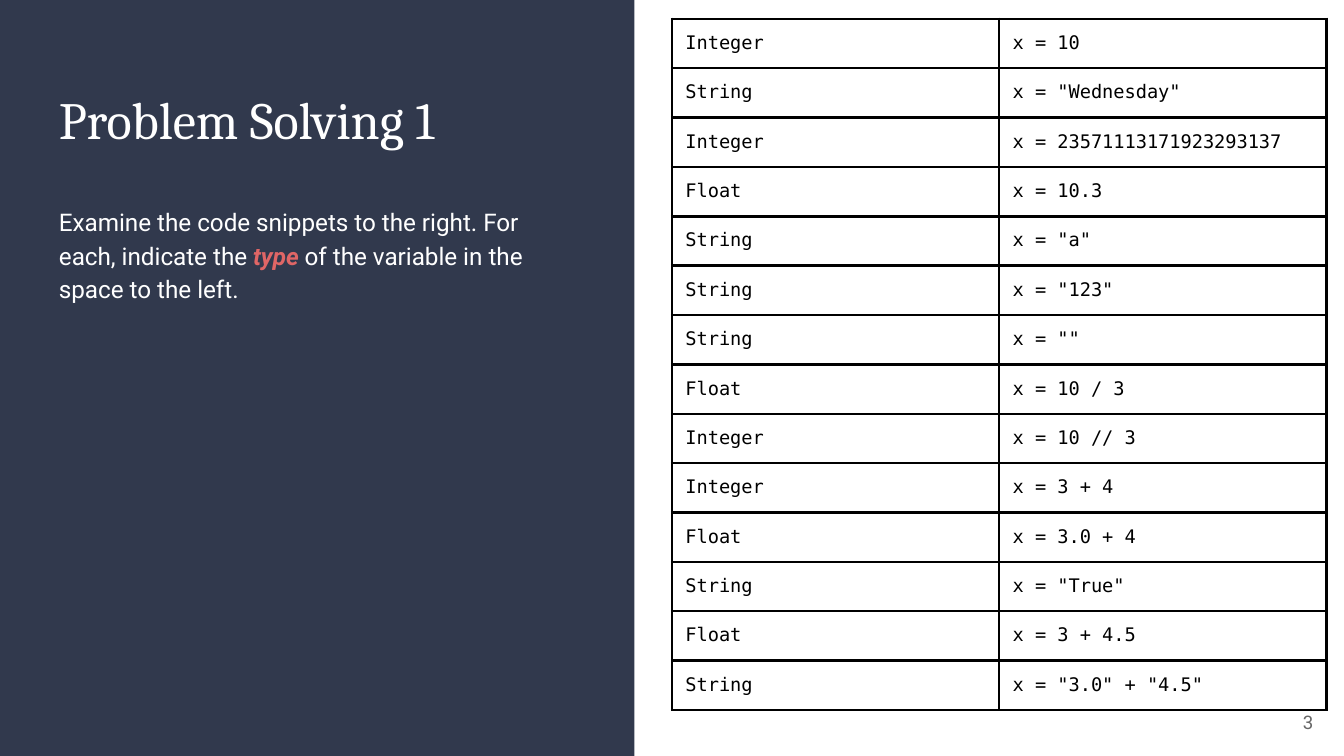
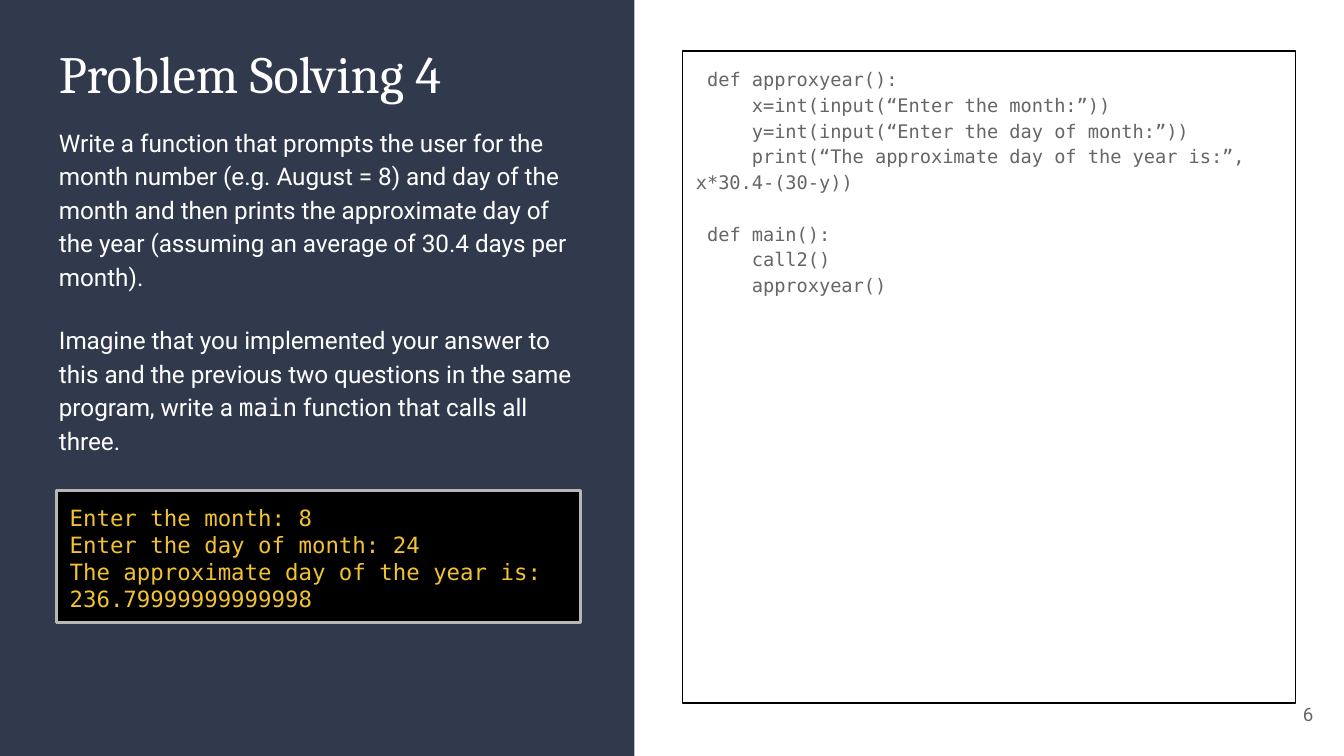
from dataclasses import dataclass

from lxml.etree import SubElement
from pptx import Presentation
from pptx.dml.color import RGBColor
from pptx.enum.shapes import MSO_SHAPE
from pptx.enum.text import MSO_ANCHOR, PP_ALIGN
from pptx.oxml.ns import qn
from pptx.slide import Slide
from pptx.util import Emu, Inches, Pt

GRID_COLUMNS = 100
GRID_ROWS = 56.25
UNIT = Inches(10) // GRID_COLUMNS
INSET = 1

NAVY = "31394D"
WHITE = "FFFFFF"
BLACK = "000000"
GREY = "666666"
SILVER = "B7B7B7"
CORAL = "E06666"
GOLD = "F1C232"

SERIF = "Cambria"
SANS = "Roboto"
MONO = "DejaVu Sans Mono"
CODE_SIZE = 10
CODE_CHARACTER = CODE_SIZE * 0.6
CODE_LINE = 13.8


@dataclass(frozen=True)
class Area:
    column: float
    row: float
    columns: float
    rows: float

    def lengths(self) -> tuple[Emu, Emu, Emu, Emu]:
        return tuple(grid(n) for n in (self.column, self.row, self.columns, self.rows))


@dataclass(frozen=True)
class Style:
    font: str
    size: float
    color: str
    bold: bool = False
    italic: bool = False


@dataclass(frozen=True)
class Span:
    text: str
    style: Style


@dataclass(frozen=True)
class Para:
    spans: tuple[Span, ...]
    line_spacing: float = 1.0
    before: float = 0
    after: float = 0
    indent: float = 0
    align: PP_ALIGN = PP_ALIGN.LEFT


@dataclass(frozen=True)
class Panel:
    fill: str | None = None
    line: str | None = None
    weight: float = 0


TITLE = Style(SERIF, 28, WHITE)
BODY = Style(SANS, 13, WHITE)
EMPHASIS = Style(SANS, 13, CORAL, True, True)
INLINE_CODE = Style(MONO, 13, WHITE)
CODE = Style(MONO, CODE_SIZE, GREY)
CELL = Style(MONO, CODE_SIZE, BLACK)
CONSOLE = Style(MONO, 12, GOLD)
PAGE_NUMBER = Style(SANS, 10, GREY)

BAND = Area(0, 0, 47.2, GRID_ROWS)
TEXT_COLUMN = 3.4
TEXT_COLUMNS = 40.5

TYPE_ROWS = (
    ("Integer", "x = 10"),
    ("String", 'x = "Wednesday"'),
    ("Integer", "x = 23571113171923293137"),
    ("Float", "x = 10.3"),
    ("String", 'x = "a"'),
    ("String", 'x = "123"'),
    ("String", 'x = ""'),
    ("Float", "x = 10 / 3"),
    ("Integer", "x = 10 // 3"),
    ("Integer", "x = 3 + 4"),
    ("Float", "x = 3.0 + 4"),
    ("String", 'x = "True"'),
    ("Float", "x = 3 + 4.5"),
    ("String", 'x = "3.0" + "4.5"'),
)

CODE_BLOCKS = (
    (
        (1, "def approxyear():"),
        (5, "x=int(input(“Enter the month:”))"),
        (5, "y=int(input(“Enter the day of month:”))"),
        (5, "print(“The approximate day of the year is:”, x*30.4-(30-y))"),
    ),
    (
        (1, "def main():"),
        (5, "call2()"),
        (5, "approxyear()"),
    ),
)

CONSOLE_LINES = (
    "Enter the month: 8",
    "Enter the day of month: 24",
    "The approximate day of the year is: 236.79999999999998",
)


def grid(units: float) -> Emu:
    return Emu(round(units * UNIT))


def rgb(color: str) -> RGBColor:
    return RGBColor.from_string(color)


def write(frame, paras: tuple[Para, ...]) -> None:
    for index, item in enumerate(paras):
        para = frame.paragraphs[0] if index == 0 else frame.add_paragraph()
        para.alignment = item.align
        para.line_spacing = item.line_spacing
        para.space_before = Pt(item.before)
        para.space_after = Pt(item.after)
        if item.indent:
            properties = para._p.get_or_add_pPr()
            properties.set("marL", "0")
            properties.set("indent", str(int(Pt(item.indent))))
        for part in item.spans:
            span = para.add_run()
            span.text = part.text
            font = span.font
            font.name = part.style.font
            font.size = Pt(part.style.size)
            font.bold = part.style.bold
            font.italic = part.style.italic
            font.color.rgb = rgb(part.style.color)


def set_margins(target) -> None:
    target.margin_left = target.margin_right = grid(INSET)
    target.margin_top = target.margin_bottom = grid(INSET)


def add_text(page: Slide, area: Area, paras: tuple[Para, ...],
             anchor: MSO_ANCHOR = MSO_ANCHOR.TOP) -> None:
    box = page.shapes.add_textbox(*area.lengths())
    fill_frame(box.text_frame, paras, anchor)


def fill_frame(frame, paras: tuple[Para, ...], anchor: MSO_ANCHOR) -> None:
    frame.word_wrap = True
    frame.vertical_anchor = anchor
    set_margins(frame)
    write(frame, paras)


def add_panel(page: Slide, area: Area, panel: Panel, paras: tuple[Para, ...] = ()) -> None:
    box = page.shapes.add_shape(MSO_SHAPE.RECTANGLE, *area.lengths())
    box.shadow.inherit = False
    if panel.fill:
        box.fill.solid()
        box.fill.fore_color.rgb = rgb(panel.fill)
    else:
        box.fill.background()
    if panel.line:
        box.line.color.rgb = rgb(panel.line)
        box.line.width = Pt(panel.weight)
    else:
        box.line.fill.background()
    if paras:
        fill_frame(box.text_frame, paras, MSO_ANCHOR.TOP)


def add_borders(cell, color: str, weight: float) -> None:
    properties = cell._tc.get_or_add_tcPr()
    for index, side in enumerate(("a:lnL", "a:lnR", "a:lnT", "a:lnB")):
        line = properties.makeelement(qn(side), {"w": str(int(Pt(weight)))})
        fill = SubElement(line, qn("a:solidFill"))
        SubElement(fill, qn("a:srgbClr"), val=color)
        properties.insert(index, line)


def add_grid_table(page: Slide, area: Area, rows: tuple[tuple[str, ...], ...]) -> None:
    table = page.shapes.add_table(len(rows), len(rows[0]), *area.lengths()).table
    table.first_row = False
    table.horz_banding = False
    for row, texts in enumerate(rows):
        for column, text in enumerate(texts):
            cell = table.cell(row, column)
            set_margins(cell)
            cell.fill.background()
            add_borders(cell, BLACK, 1.5)
            write(cell.text_frame, (Para((Span(text, CELL),)),))


def add_page(deck, title: str, title_row: float, number: str, number_row: float) -> Slide:
    page = deck.slides.add_slide(deck.slide_layouts[6])
    add_panel(page, BAND, Panel(NAVY))
    add_text(page, Area(TEXT_COLUMN, title_row, TEXT_COLUMNS, 7), (Para((Span(title, TITLE),)),))
    add_text(page, Area(92.7, number_row, 6, 4.3),
             (Para((Span(number, PAGE_NUMBER),), align=PP_ALIGN.RIGHT),), MSO_ANCHOR.MIDDLE)
    return page


def code_paras() -> tuple[Para, ...]:
    return tuple(
        Para((Span(text, CODE),), 1.15,
             before=CODE_LINE if block and not line else 0,
             indent=depth * CODE_CHARACTER)
        for block, lines in enumerate(CODE_BLOCKS)
        for line, (depth, text) in enumerate(lines)
    )


def build_types_page(deck) -> None:
    page = add_page(deck, "Problem Solving 1", 5.5, "3", 51.6)
    add_text(page, Area(TEXT_COLUMN, 14.1, TEXT_COLUMNS, 29.5), (
        Para((
            Span("Examine the code snippets to the right. For each, indicate the ", BODY),
            Span("type ", EMPHASIS),
            Span("of the variable in the space to the left.", BODY),
        ), 1.15, after=16),
    ))
    add_grid_table(page, Area(50, 1.4, 48.7, 50.6), TYPE_ROWS)


def build_function_page(deck) -> None:
    page = add_page(deck, "Problem Solving 4", 2.1, "6", 51)
    add_panel(page, Area(50.8, 3.8, 45.6, 48.5), Panel(line=BLACK, weight=0.75), code_paras())
    add_text(page, Area(TEXT_COLUMN, 8.2, TEXT_COLUMNS, 25.8), (
        Para((Span(
            "Write a function that prompts the user for the month number (e.g. August = 8) "
            "and day of the month and then prints the approximate day of the year "
            "(assuming an average of 30.4 days per month).", BODY),), 1.15),
        Para((
            Span("Imagine that you implemented your answer to this and the previous two "
                 "questions in the same program, write a ", BODY),
            Span("main", INLINE_CODE),
            Span(" function that calls all three.", BODY),
        ), 1.15, before=16, after=16),
    ))
    add_panel(page, Area(4.2, 36.5, 39, 9.8), Panel(BLACK, SILVER, 1.5),
              tuple(Para((Span(line, CONSOLE),)) for line in CONSOLE_LINES))


def main() -> None:
    deck = Presentation()
    deck.slide_width = grid(GRID_COLUMNS)
    deck.slide_height = grid(GRID_ROWS)
    build_types_page(deck)
    build_function_page(deck)
    deck.save("out.pptx")


if __name__ == "__main__":
    main()
